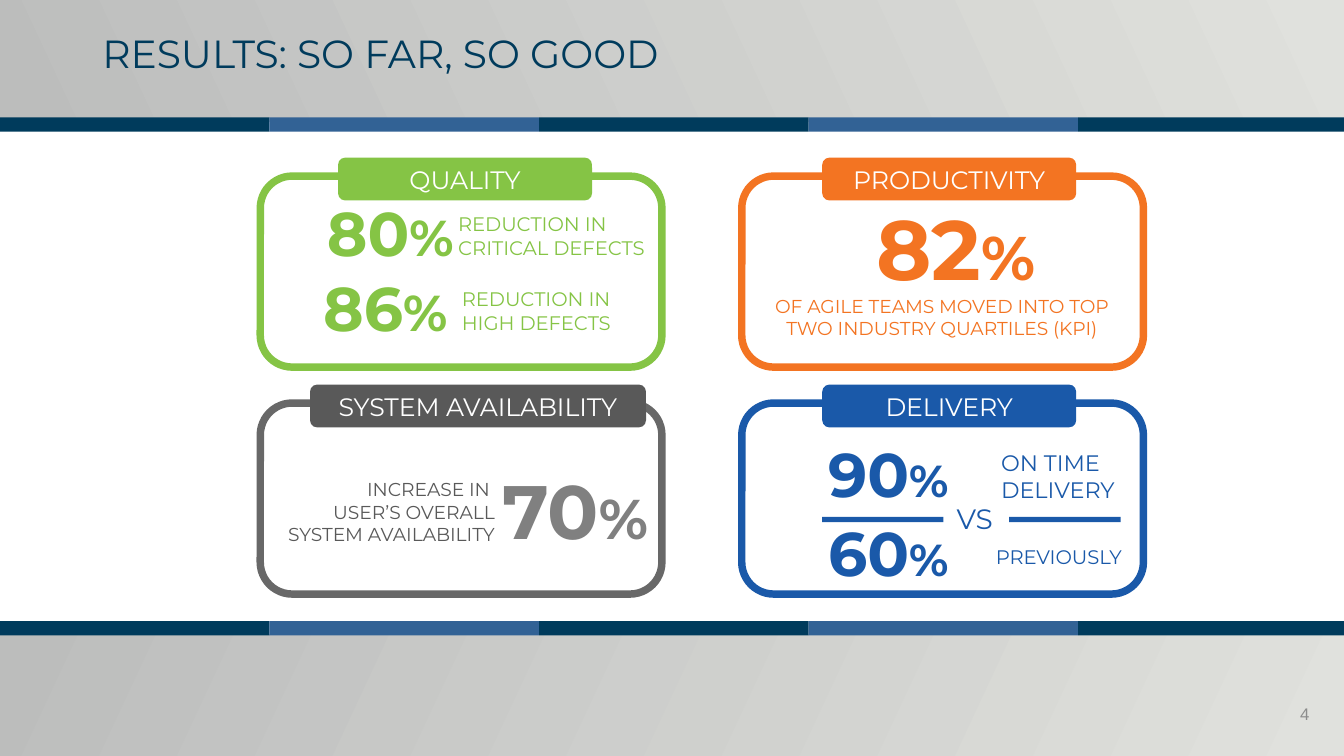
from pptx import Presentation
from pptx.dml.color import RGBColor as RGB
from pptx.enum.shapes import MSO_SHAPE as Kind
from pptx.enum.text import MSO_ANCHOR as Anchor, MSO_AUTO_SIZE as Fit, PP_ALIGN as Align
from pptx.util import Cm, Pt

HUES = {
    "navy": "003B5C", "steel": "326295", "dark": "BCBDBC", "light": "E0E1DD",
    "green": "85C445", "orange": "F37422", "blue": "1A59A9", "edge": "686868",
    "gray": "595959", "mid": "808080", "page": "8C8C8C", "white": "FFFFFF",
}
WIDE, HIGH = 25.4, 14.29
CARD = 7.59, 3.61
COLS = 4.92, 14.02
ROWS = 3.33, 7.62


def hue(name):
    return RGB.from_string(HUES[name])


def within(box, left, top, width, height):
    """Turn a place relative to box into a place on the slide."""
    return box[0] + left, box[1] + top, width, height


def write(shape, words, size, color, unit=None, bold=None, font="Montserrat",
          align=Align.LEFT, anchor=Anchor.TOP, wrap=False):
    """Fill shape with words; unit is the size of a percent sign set after them."""
    frame = shape.text_frame
    frame.auto_size = Fit.NONE
    frame.word_wrap = wrap
    frame.vertical_anchor = anchor
    para = frame.paragraphs[0]
    para.alignment = align
    runs = [(line, size) for line in words.split("\n")]
    if unit:
        runs.append(("%", unit))
    for i, (part, points) in enumerate(runs):
        if i and not unit:
            para.add_line_break()
        run = para.add_run()
        run.text = part
        run.font.size = Pt(points)
        run.font.name = font
        run.font.bold = bold
        run.font.color.rgb = hue(color)


def label(slide, box, words, size, color, **style):
    shape = slide.shapes.add_textbox(*map(Cm, box))
    write(shape, words, size, color, **style)


def block(slide, box, fill, kind=Kind.RECTANGLE, edge=None):
    shape = slide.shapes.add_shape(kind, *map(Cm, box))
    shape.shadow.inherit = False
    shape.fill.solid()
    shape.fill.fore_color.rgb = hue(fill)
    if edge:
        shape.line.color.rgb = hue(edge)
        shape.line.width = Pt(4)
    else:
        shape.line.fill.background()
    return shape


def band(slide, box, stops, angle):
    fill = block(slide, box, "light").fill
    fill.gradient()
    fill.gradient_angle = angle
    for stop, name in zip(fill.gradient_stops, stops):
        stop.color.rgb = hue(name)


def stripe(slide, box):
    """Five bars of alternating colour."""
    step = box[2] / 5
    for i in range(5):
        block(slide, within(box, i * step, 0, step, box[3]), ("navy", "steel")[i % 2])


def backdrop(slide):
    band(slide, (0, 11.99, WIDE, 2.3), ("light", "dark"), 155)
    band(slide, (0, 0, WIDE, 2.29), ("dark", "light"), 25)
    for top in (2.22, 11.74):
        stripe(slide, (0, top, 25.47, 0.27))


def heading(slide, box):
    title = slide.shapes.title
    title.left, title.top, title.width, title.height = map(Cm, box)
    write(title, "RESULTS: SO FAR, SO GOOD", 21, "navy", anchor=Anchor.MIDDLE, wrap=True)
    slide.shapes._spTree.append(title._element)  # in front of the bands


def frame(slide, box, edge):
    block(slide, box, "white", Kind.ROUNDED_RECTANGLE, edge)


def tab(slide, box, words, color, left=1.52, width=4.8):
    shape = block(slide, within(box, left, -0.35, width, 0.81), color, Kind.ROUNDED_RECTANGLE)
    text = shape.text_frame
    text.margin_left = text.margin_right = Cm(0.18)
    text.margin_top = text.margin_bottom = Cm(0.08)
    write(shape, words, 13.5, "white", align=Align.CENTER, anchor=Anchor.MIDDLE, wrap=True)


def quality(slide, box):
    frame(slide, box, "green")
    for place, rate in (((1.01, 0.23, 2.95, 1.68), "80"), ((0.94, 1.65, 2.87, 1.68), "86")):
        label(slide, within(box, *place), rate, 33, "green", unit=27, bold=True)
    for place, words in (((3.49, 0.56, 4.22, 1.14), "REDUCTION IN \nCRITICAL DEFECTS"),
                         ((3.56, 1.97, 3.48, 1.14), "REDUCTION IN \nHIGH DEFECTS")):
        label(slide, within(box, *place), words, 10.5, "green")
    tab(slide, box, "QUALITY", "green", left=1.47)


def output(slide, box):
    frame(slide, box, "orange")
    label(slide, within(box, 0.15, 2.12, 7.26, 1.12),
          "OF AGILE TEAMS MOVED INTO TOP TWO INDUSTRY QUARTILES (KPI)", 10, "orange",
          align=Align.CENTER, wrap=True)
    label(slide, within(box, 2.29, 0.26, 3.53, 2.18), "82", 45, "orange", unit=33, bold=True)
    tab(slide, box, "PRODUCTIVITY", "orange")


def uptime(slide, box):
    frame(slide, box, "edge")
    label(slide, within(box, -0.2, 1.29, 4.88, 1.55),
          "INCREASE IN \nUSER’S OVERALL SYSTEM AVAILABILITY", 10, "gray",
          align=Align.RIGHT, wrap=True)
    label(slide, within(box, 4.32, 1.03, 3.35, 1.98), "70", 40.5, "mid", unit=30, bold=True)
    tab(slide, box, "SYSTEM AVAILABILITY", "gray", left=0.94, width=6.35)


def delivery(slide, box):
    frame(slide, box, "blue")
    block(slide, within(box, 1.52, 2.15, 5.64, 0.1), "blue")
    versus = block(slide, within(box, 3.81, 1.73, 1.24, 0.89), "white")
    write(versus, "VS", 15, "blue")
    for top, rate in ((0.49, "90"), (1.98, "60")):
        label(slide, within(box, 1.38, top, 2.9, 1.68), rate, 33, "blue", unit=24, bold=True)
    label(slide, within(box, 4.65, 0.74, 2.72, 1.27), "ON TIME\nDELIVERY", 12, "blue")
    label(slide, within(box, 4.55, 2.56, 3.02, 0.71), "PREVIOUSLY", 10.5, "blue")
    tab(slide, box, "DELIVERY", "blue")


def main():
    deck = Presentation()
    deck.slide_width, deck.slide_height = Cm(WIDE), Cm(HIGH)
    slide = deck.slides.add_slide(deck.slide_layouts[5])
    backdrop(slide)
    label(slide, (19.08, 13.11, 5.92, 0.76), "4", 9, "page", font="Arial",
          align=Align.RIGHT, anchor=Anchor.MIDDLE, wrap=True)
    heading(slide, (1.68, 0.29, 17.04, 1.42))
    cards = (quality, output), (uptime, delivery)
    for top, row in zip(ROWS, cards):
        for left, draw in zip(COLS, row):
            draw(slide, (left, top, *CARD))
    deck.save("out.pptx")


if __name__ == "__main__":
    main()
